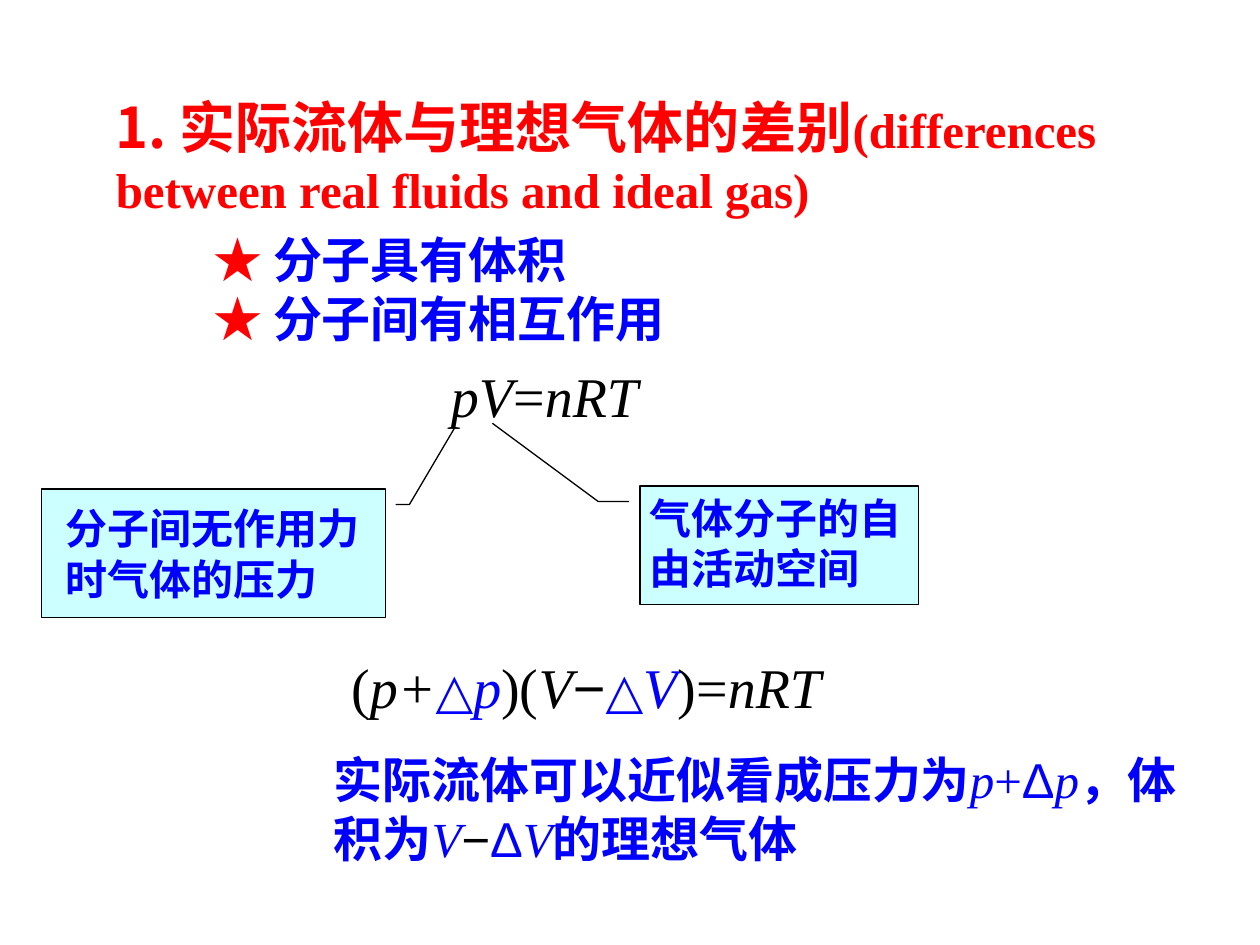
from dataclasses import dataclass

from lxml import etree
from pptx import Presentation
from pptx.dml.color import RGBColor
from pptx.enum import shapes, text
from pptx.oxml import ns
from pptx.util import Cm, Pt


@dataclass(frozen=True)
class Theme:
    red: str = "FF0000"
    blue: str = "0000FF"
    black: str = "000000"
    callout_fill: str = "CCFFFF"
    latin: str = "Times New Roman"
    symbol: str = "Arial"
    chinese: str = "Noto Sans CJK SC"
    formula: int = 32
    body: int = 28
    label: int = 24


THEME = Theme()


def write(paragraph, pieces, size, color, font=THEME.latin, **style):
    """Write (text, overrides) pieces on top of a shared run style."""
    base = dict(size=size, color=color, font=font, bold=False, italic=False) | style
    for wording, overrides in pieces:
        look = base | overrides
        run = paragraph.add_run()
        run.text = wording
        run.font.size = Pt(look["size"])
        run.font.bold = look["bold"]
        run.font.italic = look["italic"]
        run.font.name = look["font"]
        run.font.color.rgb = RGBColor.from_string(look["color"])
        east_asian = etree.SubElement(run.font._element, ns.qn("a:ea"))
        east_asian.set("typeface", THEME.chinese)


def place(shape, box):
    shape.left, shape.top, shape.width, shape.height = map(Cm, box)


def prepare(frame, wrap=True):
    frame.word_wrap = wrap
    frame.auto_size = text.MSO_AUTO_SIZE.NONE
    frame.vertical_anchor = text.MSO_ANCHOR.TOP
    return frame.paragraphs[0]


def add_text(parent, box, align=text.PP_ALIGN.LEFT):
    paragraph = prepare(parent.add_textbox(*map(Cm, box)).text_frame)
    paragraph.alignment = align
    return paragraph


def fill_heading(title, box):
    place(title, box)
    heading = prepare(title.text_frame)
    heading.alignment = text.PP_ALIGN.LEFT
    write(heading, [
        ("1. 实际流体与理想气体的差别", dict(size=THEME.formula, font=THEME.chinese)),
        ("(differences between real fluids and ideal gas)", {}),
    ], THEME.body, THEME.red, bold=True)


def fill_differences(body, box, differences):
    place(body, box)
    frame = body.text_frame
    paragraph = prepare(frame, wrap=False)
    for index, difference in enumerate(differences):
        if index:
            paragraph = frame.add_paragraph()
        properties = paragraph._p.get_or_add_pPr()
        properties.set("marL", "0")
        properties.set("indent", "0")
        etree.SubElement(properties, ns.qn("a:buNone"))
        paragraph.space_before = Pt(0)
        write(paragraph, [("★ ", dict(color=THEME.red)), (difference, {})],
              THEME.body, THEME.blue, bold=True)


def add_formula(slide, box, pieces):
    paragraph = add_text(slide.shapes, box, text.PP_ALIGN.JUSTIFY)
    write(paragraph, pieces, THEME.formula, THEME.black)


def add_callout(slide, box, inset, label_size, leader, meaning):
    """Framed label whose leader line points at a symbol of the gas law."""
    left, top, _, _ = box
    group = slide.shapes.add_group_shape().shapes
    frame = group.add_shape(shapes.MSO_SHAPE.LINE_CALLOUT_2, *map(Cm, box))
    frame.shadow.inherit = False
    frame.fill.solid()
    frame.fill.fore_color.rgb = RGBColor.from_string(THEME.callout_fill)
    frame.line.color.rgb = RGBColor.from_string(THEME.black)
    frame.line.width = Pt(0.75)
    for index, value in enumerate(leader):
        frame.adjustments[index] = value
    label = add_text(group, (left + inset[0], top + inset[1], *label_size))
    write(label, [(meaning, {})], THEME.label, THEME.blue, bold=True)


def add_conclusion(slide, box):
    chinese, symbol = dict(bold=True), dict(font=THEME.symbol)
    variable = dict(italic=True)
    write(add_text(slide.shapes, box), [
        ("实际流体可以近似看成压力为", chinese),
        ("p", variable), ("+", {}), ("Δ", symbol), ("p", variable),
        ("，体积为", chinese),
        ("V", variable), ("−", symbol | dict(color=THEME.black)),
        ("Δ", symbol), ("V", variable),
        ("的理想气体", chinese),
    ], THEME.body, THEME.blue)


def main():
    deck = Presentation()
    deck.slide_width, deck.slide_height = Cm(25.4), Cm(19.05)
    slide = deck.slides.add_slide(deck.slide_layouts[1])

    fill_heading(slide.shapes.title, (2.08, 1.73, 22.17, 2.82))
    fill_differences(slide.placeholders[1], (4.04, 4.5, 9.65, 2.62),
                     ["分子具有体积", "分子间有相互作用"])

    variable = dict(italic=True)
    correction = dict(color=THEME.blue)
    triangle = ("△", correction | dict(size=THEME.body))
    add_formula(slide, (8.84, 7.16, 4.75, 1.6),
                [("pV", variable), ("=", {}), ("nRT", variable)])
    add_formula(slide, (6.83, 13.03, 12.42, 1.63), [
        ("(", {}), ("p+", variable), triangle, ("p", variable | correction),
        (")(", {}), ("V", variable), ("−", dict(font=THEME.symbol)),
        triangle, ("V", variable | correction),
        (")=", {}), ("nRT", variable),
    ])

    add_callout(slide, (0.84, 9.86, 6.93, 2.59), (0.23, 0.15), (6.55, 2.29),
                (0.12, 1.03, 0.12, 1.07, -0.47, 1.2), "分子间无作用力时气体的压力")
    add_callout(slide, (12.9, 9.8, 5.61, 2.39), (-0.05, 0), (5.92, 2.29),
                (0.13, -0.04, 0.13, -0.15, -0.53, -0.53), "气体分子的自由活动空间")
    add_conclusion(slide, (6.48, 14.99, 17.5, 2.64))
    deck.save("out.pptx")


if __name__ == "__main__":
    main()
